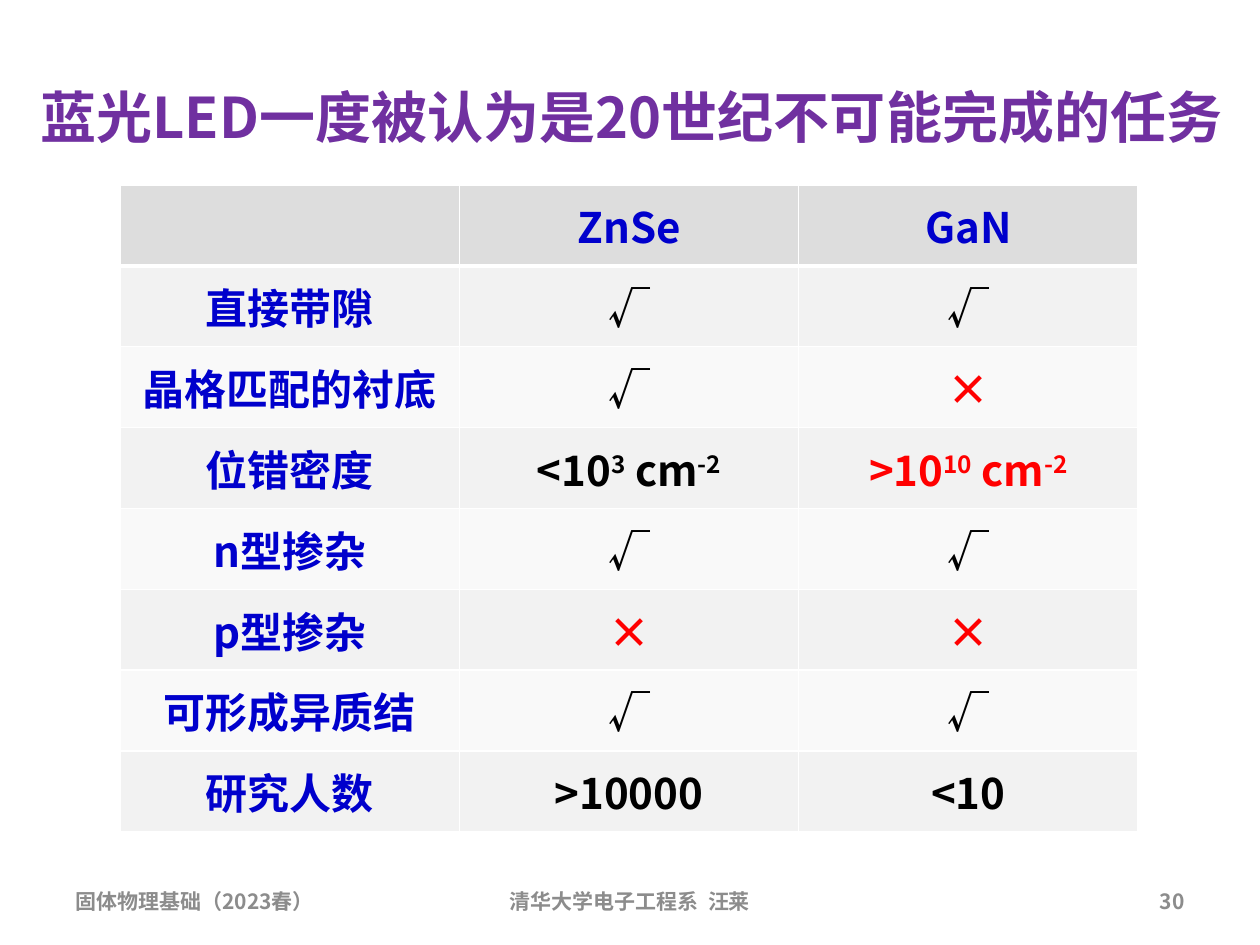
from lxml.etree import SubElement
from pptx import Presentation
from pptx.dml.color import RGBColor
from pptx.enum.text import MSO_ANCHOR as Anchor, PP_ALIGN as Align
from pptx.oxml.ns import qn
from pptx.util import Cm, Pt

FONT = "Noto Sans CJK SC"
BLUE, BLACK, RED = "0000CC", "000000", "FF0000"
PURPLE, GREY, WHITE = "7030A0", "8C8C8C", "FFFFFF"
HEADER_FILL, BAND_FILLS = "DDDDDD", ("F2F2F2", "F9F9F9")

ROWS = [
    ("", "ZnSe", "GaN"),
    ("直接带隙", "√", "√"),
    ("晶格匹配的衬底", "√", "×"),
    ("位错密度", "<10^3^ cm^-2^", ">10^10^ cm^-2^"),
    ("n型掺杂", "√", "√"),
    ("p型掺杂", "×", "×"),
    ("可形成异质结", "√", "√"),
    ("研究人数", ">10000", "<10"),
]
RED_TEXTS = ("×", ">10^10^ cm^-2^")

FOOTERS = [
    ("固体物理基础（2023春）", 1.27, 5.93, Align.LEFT),
    ("清华大学电子工程系  汪莱", 8.68, 8.04, Align.CENTER),
    ("30", 18.2, 5.93, Align.RIGHT),
]


def rgb(color):
    return RGBColor.from_string(color)


def write(para, text, size, color, align=Align.CENTER):
    para.alignment = align
    for index, piece in enumerate(text.split("^")):
        if not piece:
            continue
        span = para.add_run()
        span.text = piece
        style = {"name": FONT, "size": Pt(size), "bold": True}
        for key, value in style.items():
            setattr(span.font, key, value)
        span.font.color.rgb = rgb(color)
        properties = span.font._element
        SubElement(properties, qn("a:ea"), typeface=FONT)
        if index % 2:
            properties.set("baseline", "30000")


def add_text(page, text, left, top, width, height, size, color, align=Align.CENTER):
    box = page.shapes.add_textbox(Cm(left), Cm(top), Cm(width), Cm(height))
    frame = box.text_frame
    for key, value in {"word_wrap": True, "vertical_anchor": Anchor.MIDDLE}.items():
        setattr(frame, key, value)
    write(frame.paragraphs[0], text, size, color, align)


def add_borders(cell, widths):
    properties = cell._tc.get_or_add_tcPr()
    for side, width in widths.items():
        line = SubElement(properties, qn(f"a:ln{side}"), w=str(Pt(width)))
        fill = SubElement(line, qn("a:solidFill"))
        SubElement(fill, qn("a:srgbClr"), val=WHITE)


def text_color(text, row, column):
    if row == 0 or column == 0:
        return BLUE
    return RED if text in RED_TEXTS else BLACK


def add_comparison(page):
    frame = page.shapes.add_table(
        len(ROWS), len(ROWS[0]), Cm(2.42), Cm(3.73), Cm(20.52), Cm(13.04)
    )
    table = frame.table
    for column in table.columns:
        column.width = Cm(6.84)
    for row, texts in enumerate(ROWS):
        table.rows[row].height = Cm(1.63)
        for column, text in enumerate(texts):
            cell = table.cell(row, column)
            cell.vertical_anchor = Anchor.MIDDLE
            add_borders(cell, {"L": 1, "R": 1, "T": 3 if row == 1 else 1, "B": 1 if row else 3})
            cell.fill.solid()
            cell.fill.fore_color.rgb = rgb(BAND_FILLS[(row - 1) % 2] if row else HEADER_FILL)
            write(cell.text_frame.paragraphs[0], text, 24, text_color(text, row, column))


def main():
    deck = Presentation()
    deck.slide_width, deck.slide_height = Cm(25.4), Cm(19.05)
    page = deck.slides.add_slide(deck.slide_layouts[6])
    for text, left, width, align in FOOTERS:
        add_text(page, text, left, 17.65, width, 1.02, 12, GREY, align)
    add_text(page, "蓝光LED一度被认为是20世纪不可能完成的任务", 0.18, 0.43, 25.1, 3.81, 32, PURPLE)
    add_comparison(page)
    deck.save("out.pptx")


if __name__ == "__main__":
    main()
